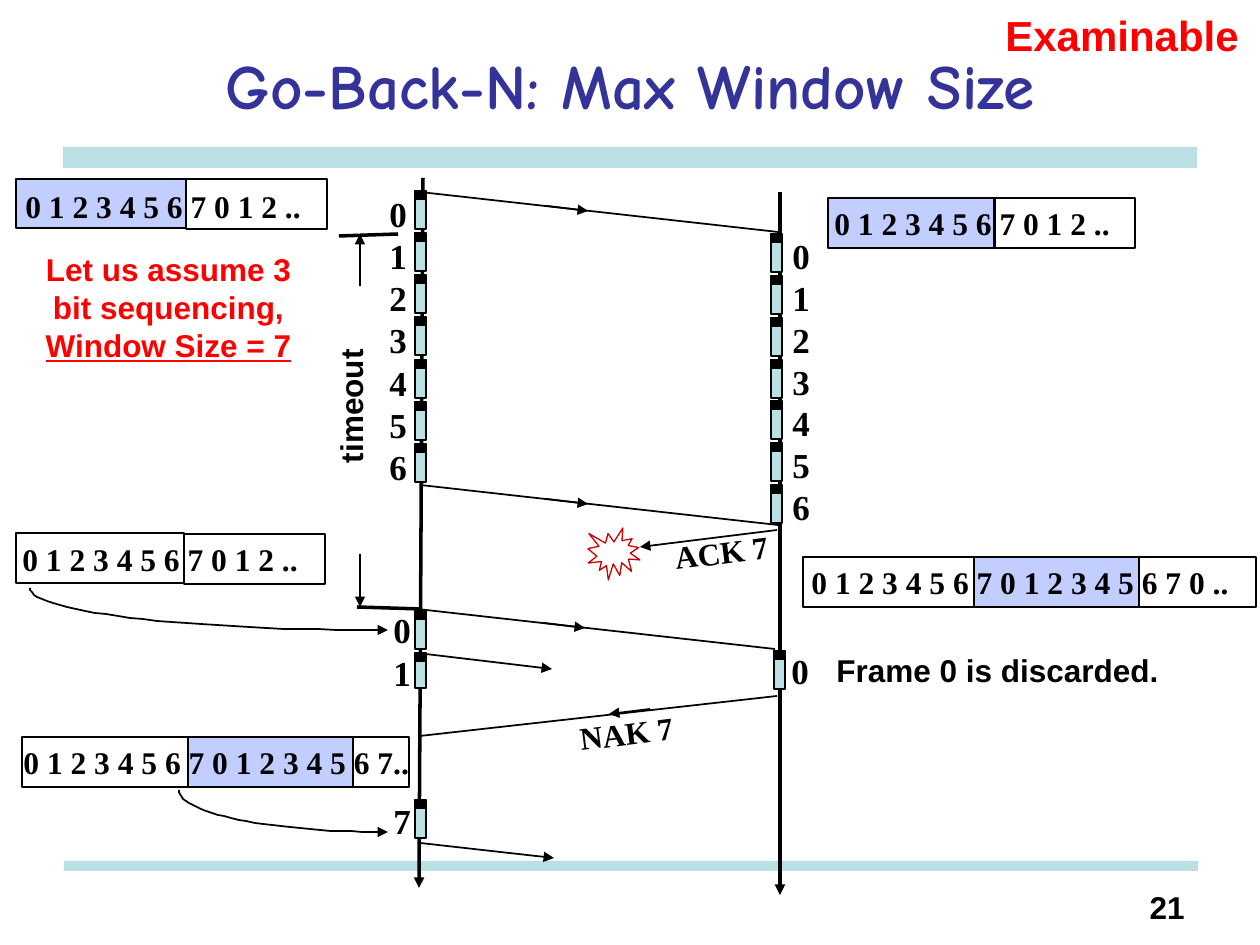
"""Build the Go-Back-N maximum window size slide."""
from math import cos, pi, sin

from lxml.etree import SubElement
from pptx import Presentation
from pptx.dml.color import RGBColor
from pptx.enum.shapes import MSO_CONNECTOR, MSO_SHAPE
from pptx.enum.text import MSO_ANCHOR, PP_ALIGN
from pptx.oxml.ns import qn
from pptx.util import Emu, Inches, Pt

PX = Inches(1) / 126
BLACK = RGBColor(0x00, 0x00, 0x00)
WHITE = RGBColor(0xFF, 0xFF, 0xFF)
RED = RGBColor(0xFF, 0x00, 0x00)
CRIMSON = RGBColor(0xCC, 0x00, 0x00)
NAVY = RGBColor(0x33, 0x33, 0x99)
TEAL = RGBColor(0xBB, 0xE0, 0xE3)
LILAC = RGBColor(0xC1, 0xCE, 0xFF)
SERIF, SANS = "Times New Roman", "Arial"


def add_box(box, fill=None, line=BLACK, width=1, kind=MSO_SHAPE.RECTANGLE):
    sp = s.shapes.add_shape(kind, *[Emu(round(v * PX)) for v in box])
    sp.shadow.inherit = False
    if fill is None:
        sp.fill.background()
    else:
        sp.fill.solid()
        sp.fill.fore_color.rgb = fill
    if line is None:
        sp.line.fill.background()
    else:
        sp.line.color.rgb = line
        sp.line.width = Pt(width)


def add_text(box, runs, size=18, font=SERIF, color=BLACK, align=PP_ALIGN.LEFT,
             rotation=0, wrap=True):
    sp = s.shapes.add_textbox(*[Emu(round(v * PX)) for v in box])
    sp.rotation = rotation
    tf = sp.text_frame
    tf.word_wrap = wrap
    p = tf.paragraphs[0]
    p.alignment = align
    for text, underline in runs:
        r = p.add_run()
        r.text = text
        r.font.name, r.font.size, r.font.bold = font, Pt(size), True
        r.font.color.rgb = color
        if underline:
            r.font.underline = True


prs = Presentation()
prs.slide_width, prs.slide_height = Emu(round(1260 * PX)), Emu(round(945 * PX))
s = prs.slides.add_slide(prs.slide_layouts[5])

title = s.shapes.title
title.left, title.top, title.width, title.height = [
    Emu(round(v * PX)) for v in (63, 21, 1134, 126)]
title.text_frame.vertical_anchor = MSO_ANCHOR.MIDDLE
p = title.text_frame.paragraphs[0]
p.alignment = PP_ALIGN.CENTER
r = p.add_run()
r.text = "Go-Back-N: Max Window Size"
r.font.name, r.font.size, r.font.bold = "Comic Neue", Pt(36), True
r.font.color.rgb = NAVY

for bar in [(63, 147, 1134, 21), (64, 861, 1134, 10)]:
    add_box(bar, TEAL, None)

lines = [
    (423, 178, 419, 888, 2, True),
    (780, 192, 780, 895, 2, True),
    (357, 607, 421, 609, 2, False),
    (339, 236, 398, 234, 2, False),
    (360, 554, 360, 607, 1, True),
    (360, 286, 360, 234, 1, True),
    (777, 530, 640, 547, 1, True),
    (417, 653, 552, 669, 1, True),
    (420, 843, 554, 858, 1, True),
    (777, 696, 420, 736, 1, False),
    (650, 709, 609, 714, 1, True),
]
for x, y in [(420, 192), (420, 485), (417, 609)]:
    lines += [(x, y, x + 358, y + 40, 1, False),
              (x + 127, y + 14, x + 168, y + 19, 1, True)]
for y in (630, 832):
    lines.append((368, y, 388, y, 0.75, True))

for x1, y1, x2, y2, width, arrow in lines:
    c = s.shapes.add_connector(MSO_CONNECTOR.STRAIGHT,
                               *[Emu(round(v * PX)) for v in (x1, y1, x2, y2)])
    c.line.color.rgb = BLACK
    c.line.width = Pt(width)
    if arrow:
        SubElement(c.line._get_or_add_ln(), qn("a:tailEnd"), type="triangle")
    SubElement(c._element.spPr, qn("a:effectLst"))

for left, top, right, bottom in [(30, 588, 372, 630), (179, 790, 383, 832)]:
    points = [(right - (right - left) * cos(k * pi / 60),
               top + (bottom - top) * sin(k * pi / 60)) for k in range(31)]
    builder = s.shapes.build_freeform(*points[0], scale=PX)
    builder.add_line_segments(points[1:], close=False)
    sp = builder.convert_to_shape()
    sp.shadow.inherit = False
    sp.fill.background()
    sp.line.color.rgb = BLACK
    sp.line.width = Pt(1)

frames = [(415, 191 + 42 * n + n // 4, 38, str(n), 377, 5) for n in range(7)]
frames += [(771, 234 + 42 * n - n // 4, 38, str(n), 780, 6) for n in range(7)]
frames += [
    (415, 611, 38, "0", 381, 9),
    (415, 653, 35, "1", 381, 8),
    (415, 800, 38, "7", 381, 7),
    (774, 651, 38, "0", 779, 8),
]
for x, y, height, label, label_x, rise in frames:
    add_box((x, y, 11, height), TEAL)
    add_box((x, y, 11, 8), BLACK)
    add_text((label_x, y - rise, 33, 54), [(label, False)], 20)

short = "0 1 2 3 4 5 6 7 0 1 2 .."
windows = [
    ((13, 181, 325), short, [(16, 179, 170, 49, LILAC), (186, 179, 141, 50, None)]),
    ((822, 198, 325), short, [(828, 198, 167, 50, LILAC), (994, 198, 141, 50, None)]),
    ((10, 534, 325), short, [(16, 533, 168, 50, None), (184, 534, 141, 50, None)]),
    ((799, 557, 461), "0 1 2 3 4 5 6 7 0 1 2 3 4 5 6 7 0 ..",
     [(974, 557, 165, 50, LILAC), (803, 557, 453, 50, None)]),
    ((11, 737, 461), "0 1 2 3 4 5 6 7 0 1 2 3 4 5 6 7..",
     [(188, 737, 165, 50, LILAC), (22, 737, 387, 50, None)]),
]
for (x, y, width), text, cells in windows:
    for *box, fill in cells:
        add_box(box, fill)
    add_text((x, y, width, 50), [(text, False)])

add_box((588, 528, 52, 52), WHITE, CRIMSON, 0.75, MSO_SHAPE.EXPLOSION1)
add_text((662, 525, 141, 50), [("ACK 7", False)], rotation=352.7)
add_text((567, 706, 141, 50), [("NAK 7", False)], rotation=352.7)
add_text((824, 645, 348, 50), [("Frame 0 is discarded.", False)], font=SANS, wrap=False)
add_text((281, 381, 139, 50), [("timeout", False)], font=SANS, rotation=270, wrap=False)
add_text((32, 244, 273, 126),
         [("Let us assume 3 bit sequencing, ", False), ("Window Size = 7", True)],
         font=SANS, color=RED, align=PP_ALIGN.CENTER)
add_text((993, 3, 368, 63), [("Examinable", False)], 24, SANS, RED)
add_text((1113, 882, 84, 53), [("21", False)], font=SANS, align=PP_ALIGN.RIGHT)

prs.save("out.pptx")
